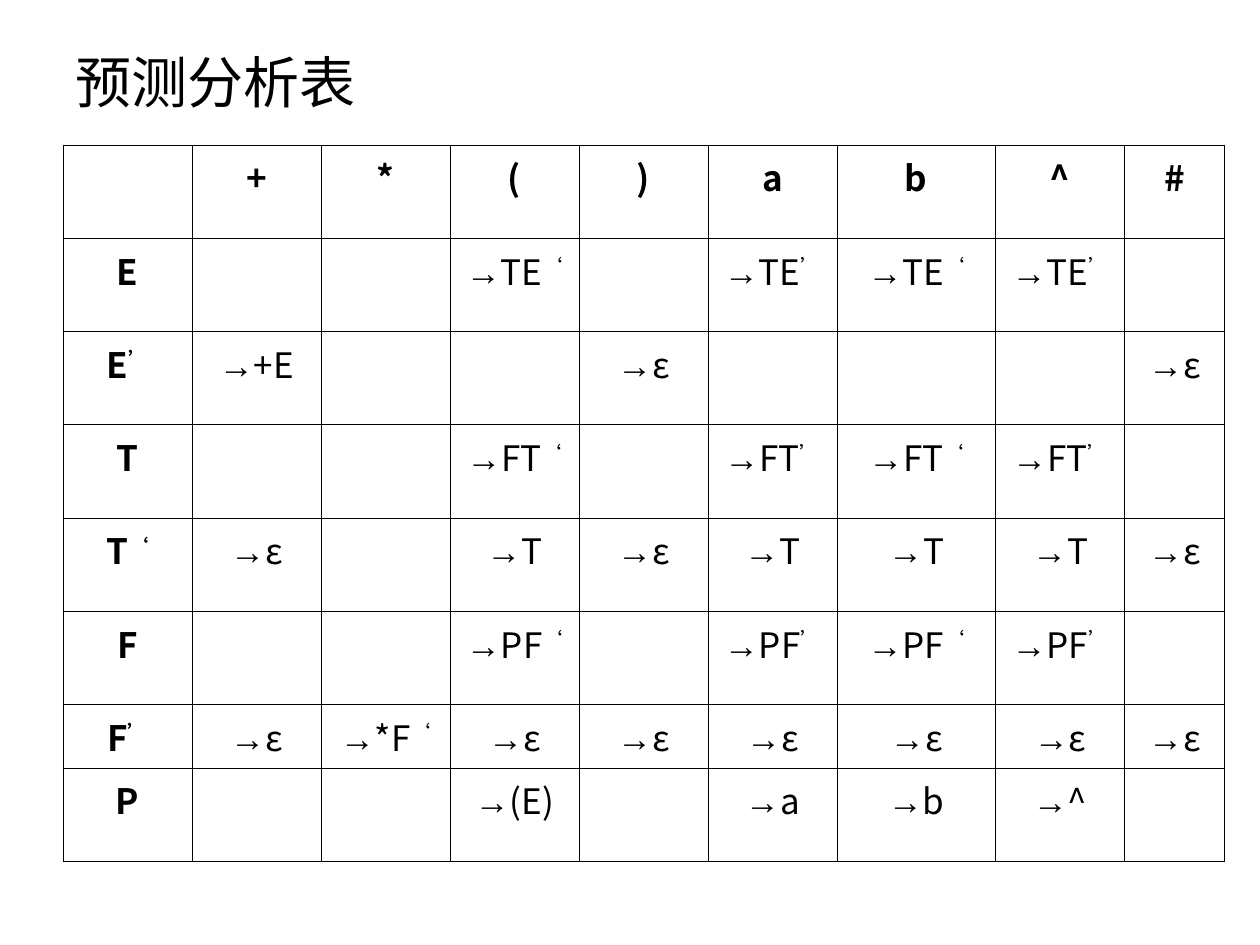
from itertools import groupby

from pptx import Presentation
from pptx.dml.color import RGBColor
from pptx.enum.text import MSO_ANCHOR, PP_ALIGN
from pptx.oxml import parse_xml
from pptx.oxml.ns import nsdecls
from pptx.util import Cm, Pt

BLACK = RGBColor(0x00, 0x00, 0x00)
LATIN_FONT = "Arial"
CHINESE_FONT = "Noto Sans CJK SC"
ARROW = "→"
PRIMES = "‘’"

COLUMN_WIDTHS = [Cm(2.6)] * 6 + [Cm(3.2), Cm(2.6), Cm(2.01)]
ROW_HEIGHTS = [Cm(1.88)] * 6 + [Cm(1.22), Cm(1.88)]
PARSING_TABLE = [
    ["", "+", "*", "(", ")", "a", "b", "^", "#"],
    ["E", "", "", "→TE‘", "", "→TE’", "→TE‘", "→TE’", ""],
    ["E’", "→+E", "", "", "→ε", "", "", "", "→ε"],
    ["T", "", "", "→FT‘", "", "→FT’", "→FT‘", "→FT’", ""],
    ["T‘", "→ε", "", "→T", "→ε", "→T", "→T", "→T", "→ε"],
    ["F", "", "", "→PF‘", "", "→PF’", "→PF‘", "→PF’", ""],
    ["F’", "→ε", "→*F‘", "→ε", "→ε", "→ε", "→ε", "→ε", "→ε"],
    ["P", "", "", "→(E)", "", "→a", "→b", "→^", ""],
]


def character_kind(character):
    if character == ARROW:
        return "arrow"
    return "prime" if character in PRIMES else "symbol"


def format_font(font, size, name):
    font.size = Pt(size)
    font.name = name
    font.color.rgb = BLACK


def add_title(page, left, top, width, height):
    title = page.shapes.title
    title.left, title.top, title.width, title.height = left, top, width, height
    frame = title.text_frame
    frame.text = "预测分析表"
    frame.vertical_anchor = MSO_ANCHOR.MIDDLE
    para = frame.paragraphs[0]
    para.alignment = PP_ALIGN.LEFT
    format_font(para.runs[0].font, 32, LATIN_FONT)


def draw_borders(cell):
    properties = cell._tc.get_or_add_tcPr()
    for side in ("lnL", "lnR", "lnT", "lnB"):
        properties.append(parse_xml(
            f'<a:{side} {nsdecls("a")} w="{Pt(0.45)}"><a:solidFill>'
            f'<a:srgbClr val="{BLACK}"/></a:solidFill></a:{side}>'))
    cell.fill.background()


def write_symbols(para, text, is_heading):
    para.alignment = PP_ALIGN.CENTER
    paragraph_properties = para._p.get_or_add_pPr()
    paragraph_properties.set("marL", str(Cm(0.97)))
    paragraph_properties.set("indent", str(-Cm(0.97)))
    for kind, characters in groupby(text, character_kind):
        span = para.add_run()
        span.text = "".join(characters)
        name = LATIN_FONT if kind == "arrow" else CHINESE_FONT
        format_font(span.font, 20, name)
        span.font.bold = is_heading
        run_properties = span._r.get_or_add_rPr()
        run_properties.append(parse_xml(
            f'<a:ea {nsdecls("a")} typeface="{name}"/>'))
        if kind == "prime":
            run_properties.set("baseline", "30000")


def add_parsing_table(page, left, top):
    table = page.shapes.add_table(
        len(ROW_HEIGHTS), len(COLUMN_WIDTHS), left, top,
        sum(COLUMN_WIDTHS), sum(ROW_HEIGHTS)).table
    table.first_row = False
    table.horz_banding = False
    for column, width in zip(table.columns, COLUMN_WIDTHS):
        column.width = width
    for row, height in zip(table.rows, ROW_HEIGHTS):
        row.height = height
    for row_index, texts in enumerate(PARSING_TABLE):
        for column_index, text in enumerate(texts):
            cell = table.cell(row_index, column_index)
            draw_borders(cell)
            is_heading = row_index == 0 or column_index == 0
            if text:
                write_symbols(cell.text_frame.paragraphs[0], text, is_heading)


def main():
    deck = Presentation()
    deck.slide_width, deck.slide_height = Cm(25.4), Cm(19.05)
    page = deck.slides.add_slide(deck.slide_layouts[5])
    add_title(page, Cm(1.27), Cm(0.76), Cm(22.86), Cm(1.75))
    add_parsing_table(page, Cm(1.27), Cm(2.92))
    deck.save("out.pptx")


if __name__ == "__main__":
    main()
